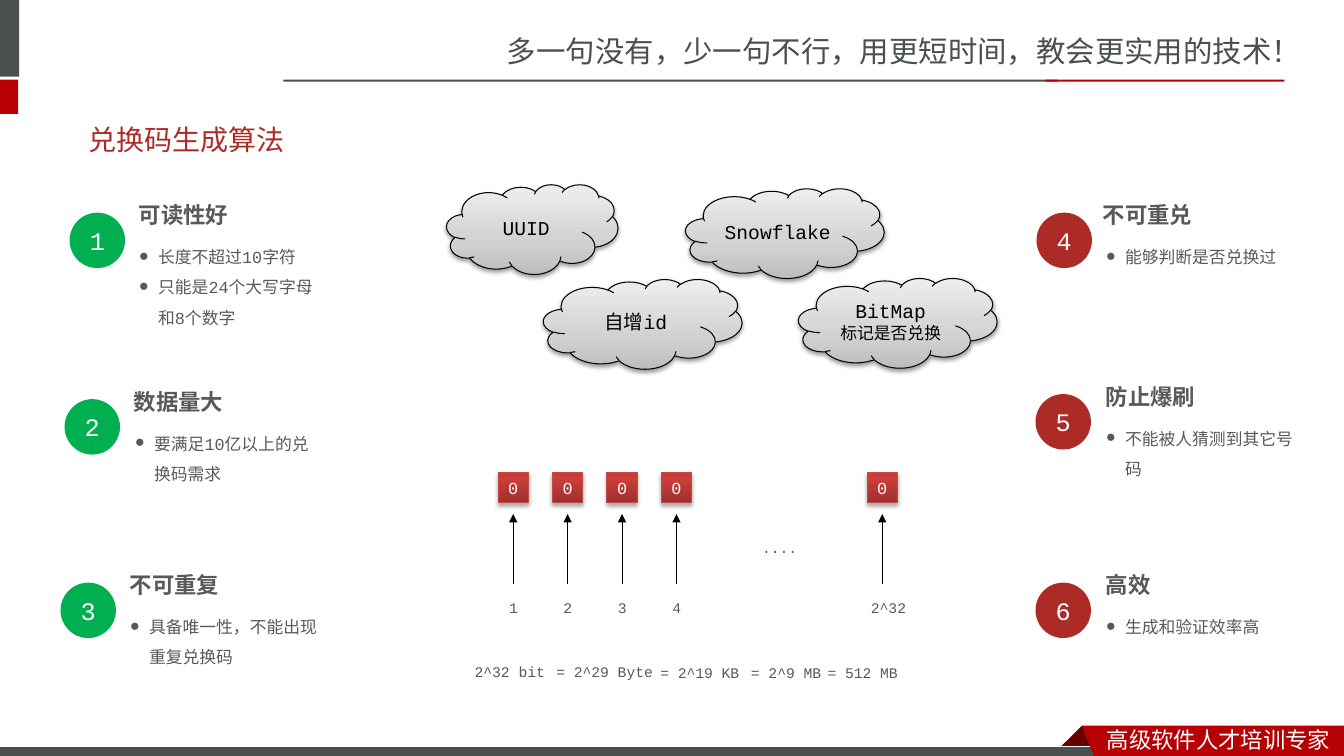
"""Build the slide on redemption code generation algorithms."""
import pptx
import pptx.util
import pptx.dml.color
import pptx.enum.shapes
import pptx.enum.text
import pptx.oxml.ns
from lxml import etree

PX = 9144
SHAPE = pptx.enum.shapes.MSO_SHAPE
ALIGN = pptx.enum.text.PP_ALIGN
ANCHOR = pptx.enum.text.MSO_ANCHOR
FIT = pptx.enum.text.MSO_AUTO_SIZE
CJK = "Noto Sans CJK SC"
MONO = "Courier New"
COLOURS = {
    "slate": "49504F", "red": "B60004", "dark_red": "680000", "brick": "AD2B26",
    "green": "00B050", "body": "595959", "white": "FFFFFF", "black": "000000",
    "bit_line": "BF4C48",
}
CLOUD_STOPS = [(0, "BDBDBD"), (35, "D1D1D1"), (100, "EEEEEE")]
BIT_STOPS = [(0, "9C2F2D"), (80, "CB3E3A"), (100, "CE3B37")]

qn = pptx.oxml.ns.qn
rgb = pptx.dml.color.RGBColor.from_string
presentation = pptx.Presentation()
presentation.slide_width = 1333 * PX
presentation.slide_height = 750 * PX
slide = presentation.slides.add_slide(presentation.slide_layouts[6])


def write(text, box=None, holder=None, size=10.5, font=MONO, colour="body", bold=False,
          align=ALIGN.LEFT, anchor=ANCHOR.TOP, wrap=True, grow=True, bullet=False, inset=None):
    """Write lines of text in a new text box, or in the given holder."""
    holder = holder or slide.shapes.add_textbox(*[n * PX for n in box])
    frame = holder.text_frame
    frame.word_wrap = wrap
    frame.auto_size = FIT.SHAPE_TO_FIT_TEXT if grow else FIT.NONE
    frame.vertical_anchor = anchor
    if inset is not None:
        frame.margin_left = frame.margin_right = inset * PX
        frame.margin_top = frame.margin_bottom = inset * PX
    for index, line in enumerate(text.split("\n")):
        paragraph = frame.add_paragraph() if index else frame.paragraphs[0]
        paragraph.alignment = align
        if bullet:
            properties = paragraph._p.get_or_add_pPr()
            properties.set("marL", str(19 * PX))
            properties.set("indent", str(-19 * PX))
            etree.SubElement(properties, qn("a:buFont"), typeface=MONO)
            etree.SubElement(properties, qn("a:buChar"), char="●")
            paragraph.line_spacing = 1.5
        run = paragraph.add_run()
        run.text = line
        run.font.size = pptx.util.Pt(size)
        run.font.bold = bold
        run.font.color.rgb = rgb(COLOURS[colour])
        run.font.name = font
        etree.SubElement(run._r.get_or_add_rPr(), qn("a:ea"), typeface=CJK)
    return frame


def draw(kind, box, fill, outline=None, shadow=None):
    """Draw a preset shape with a flat colour or gradient stops."""
    shape = slide.shapes.add_shape(kind, *[n * PX for n in box])
    shape.shadow.inherit = False
    properties = shape._element.spPr
    if isinstance(fill, str):
        shape.fill.solid()
        shape.fill.fore_color.rgb = rgb(COLOURS[fill])
    else:
        shape.fill.gradient()
        shape.fill.gradient_angle = 90
        stops = properties.find(".//" + qn("a:gsLst"))
        stops.clear()
        for position, tint in fill:
            stop = etree.SubElement(stops, qn("a:gs"), pos=str(position * 1000))
            etree.SubElement(stop, qn("a:srgbClr"), val=tint)
    if outline:
        shape.line.color.rgb = rgb(COLOURS[outline])
        shape.line.width = pptx.util.Pt(0.75)
    else:
        shape.line.fill.background()
    if shadow:
        distance, opacity = shadow
        cast = etree.SubElement(
            properties.find(qn("a:effectLst")), qn("a:outerShdw"),
            blurRad=str(pptx.util.Pt(3.1)), dist=str(pptx.util.Pt(distance)),
            dir="5400000", rotWithShape="0")
        tone = etree.SubElement(cast, qn("a:srgbClr"), val=COLOURS["black"])
        etree.SubElement(tone, qn("a:alpha"), val=str(opacity * 1000))
    return shape


write("多一句没有，少一句不行，用更短时间，教会更实用的技术！", (493, 28, 841, 47),
      size=21, font=CJK, colour="slate")
for box, fill in [((-6, 0, 25, 76), "slate"), ((-6, 79, 24, 34), "red"),
                  ((281, 79, 768, 2), "slate"), ((1037, 79, 237, 2), "red")]:
    draw(SHAPE.RECTANGLE, box, fill)

ribbon_fold = [(1073, 720), (1095, 742), (1094, 743), (1052, 743), (1051, 742)]
ribbon = [(1073, 720), (1333, 720), (1333, 754), (1086, 753)]
for outline, fill in [(ribbon_fold, "dark_red"), (ribbon, "red")]:
    if outline is ribbon:
        draw(SHAPE.RECTANGLE, (-1, 741, 1100, 12), "slate", "white")
    builder = slide.shapes.build_freeform(*outline[0], scale=PX)
    builder.add_line_segments(outline[1:], close=True)
    band = builder.convert_to_shape()
    band.shadow.inherit = False
    band.fill.solid()
    band.fill.fore_color.rgb = rgb(COLOURS[fill])
    band.line.fill.background()
write("高级软件人才培训专家", (1088, 715, 245, 37), size=16, font=CJK, colour="white")

write("兑换码生成算法", (78, 103, 816, 70), size=20, font="Roboto", colour="brick",
      anchor=ANCHOR.MIDDLE, grow=False)

requirements = [
    (69, 128, 128, 195, "green", "可读性好", "长度不超过10字符\n只能是24个大写字母和8个数字", 98),
    (64, 123, 124, 380, "green", "数据量大", "要满足10亿以上的兑换码需求", 68),
    (60, 119, 119, 562, "green", "不可重复", "具备唯一性，不能出现重复兑换码", 68),
    (1028, 1084, 1087, 195, "brick", "不可重兑", "能够判断是否兑换过", 37),
    (1027, 1087, 1087, 375, "brick", "防止爆刷", "不能被人猜测到其它号码", 68),
    (1027, 1087, 1087, 562, "brick", "高效", "生成和验证效率高", 37),
]
for number, requirement in enumerate(requirements, 1):
    badge_x, heading_x, detail_x, top, colour, heading, detail, detail_height = requirement
    badge = draw(SHAPE.OVAL, (badge_x, top + 16, 55, 55), colour)
    write(str(number), holder=badge, size=18, colour="white", align=ALIGN.CENTER,
          anchor=ANCHOR.MIDDLE, grow=False, inset=0)
    write(heading, (heading_x, top, 20 + 23 * len(heading), 37), size=16, bold=True, wrap=False)
    write(detail, (detail_x, top + 35, 206, detail_height), size=12, bullet=True)

for left, top, width, idea, last_size in [
        (443, 183, 170, "UUID", 14), (680, 187, 197, "Snowflake", 14),
        (539, 277, 197, "自增id", 14), (792, 276, 197, "BitMap\n标记是否兑换", 12)]:
    cloud = draw(SHAPE.CLOUD, (left, top, width, 89), CLOUD_STOPS, "black", (1.6, 38))
    frame = write(idea, holder=cloud, size=14, colour="black", align=ALIGN.CENTER,
                  anchor=ANCHOR.MIDDLE, grow=False)
    frame.paragraphs[-1].runs[0].font.size = pptx.util.Pt(last_size)

bits = [(494 + 54 * i, 495 + 54 * i, 29, str(i + 1)) for i in range(4)]
for left, label_left, label_width, position in bits + [(860, 854, 60, "2^32")]:
    bit = draw(SHAPE.RECTANGLE, (left, 469, 30, 30), BIT_STOPS, "bit_line", (1.8, 35))
    write("0", holder=bit, size=12, colour="white", align=ALIGN.CENTER, wrap=False)
    middle = (left + 15) * PX
    arrow = slide.shapes.add_connector(
        pptx.enum.shapes.MSO_CONNECTOR.STRAIGHT, middle, 579 * PX, middle, 510 * PX)
    arrow.line.color.rgb = rgb(COLOURS["black"])
    arrow.line.width = pptx.util.Pt(0.75)
    arrow_properties = arrow._element.spPr
    etree.SubElement(arrow_properties.find(qn("a:ln")), qn("a:tailEnd"), type="triangle")
    etree.SubElement(arrow_properties, qn("a:effectLst"))
    write(position, (label_left, 589, label_width, 28))
write("....", (746, 530, 55, 28), wrap=False)

for left, top, width, amount in [
        (461, 653, 90, "2^32 bit"), (542, 653, 117, "= 2^29 Byte"),
        (645, 654, 99, "= 2^19 KB"), (735, 654, 90, "= 2^9 MB"), (811, 654, 90, "= 512 MB")]:
    write(amount, (left, top, width, 28), wrap=False)

presentation.save("out.pptx")
